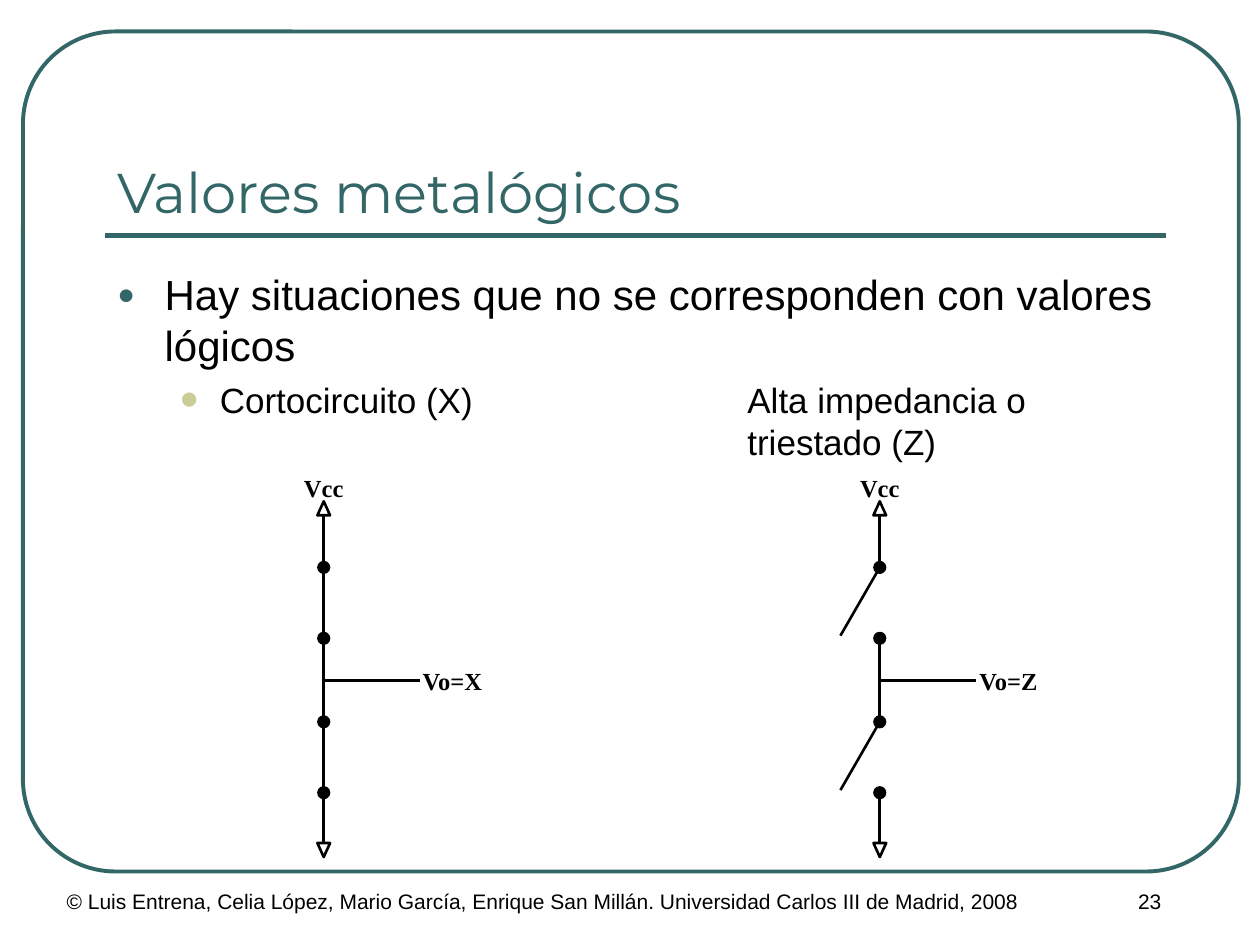
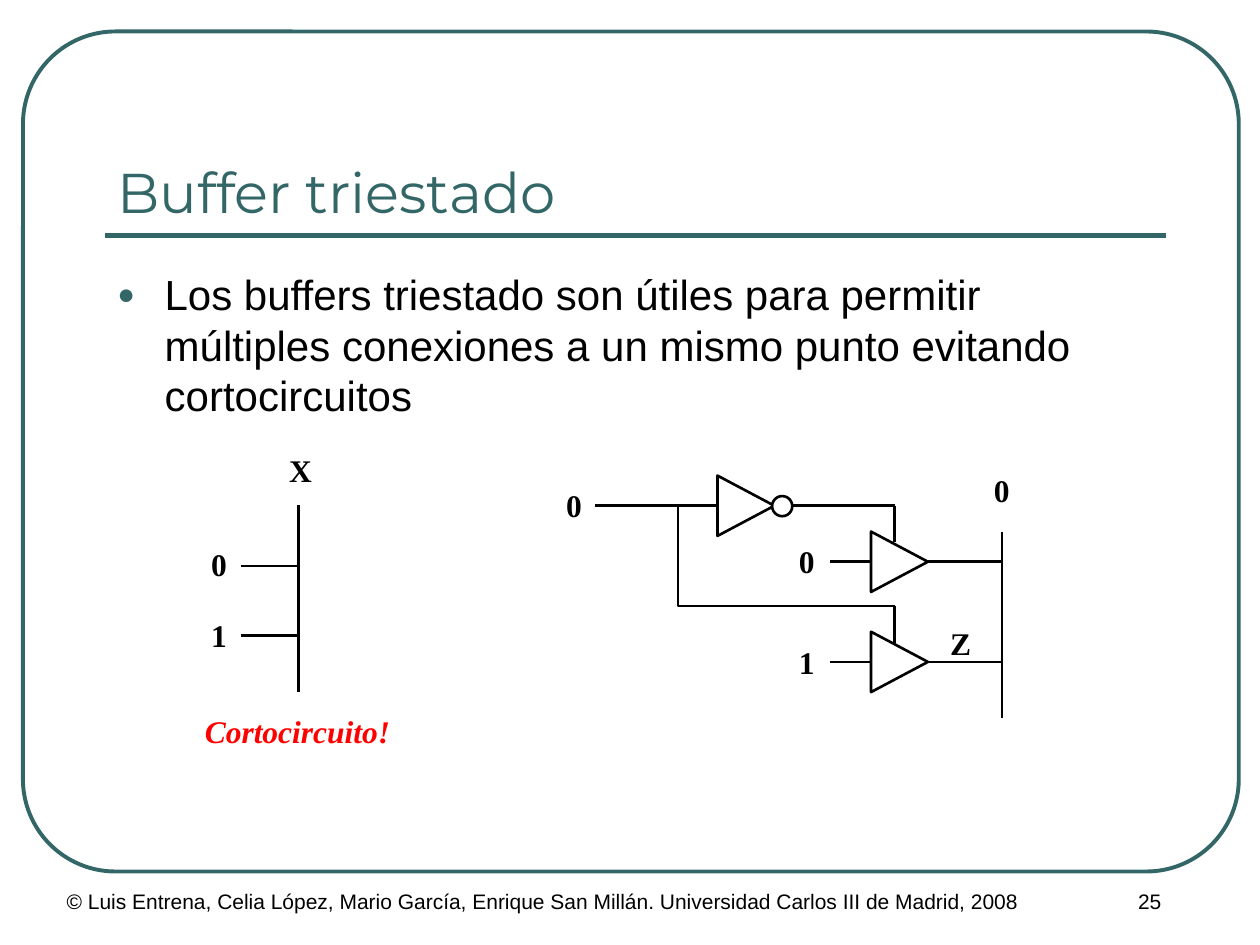
import lxml.etree
import pptx
import pptx.dml.color
import pptx.enum.shapes
import pptx.enum.text
import pptx.oxml.ns
import pptx.util
from dataclasses import dataclass

Pt = pptx.util.Pt
SHAPE = pptx.enum.shapes.MSO_SHAPE
ALIGN = pptx.enum.text.PP_ALIGN
ANCHOR = pptx.enum.text.MSO_ANCHOR
AUTO_SIZE = pptx.enum.text.MSO_AUTO_SIZE
qn = pptx.oxml.ns.qn


@dataclass(frozen=True)
class Theme:
    teal: str = "336666"
    sand: str = "CCCC99"
    ink: str = "000000"
    paper: str = "FFFFFF"
    alert: str = "FF0000"
    title_font: str = "Montserrat"
    body_font: str = "Arial"
    label_font: str = "Times New Roman"
    title_size: float = 32
    body_sizes: tuple = (24, 20)
    label_size: float = 18
    small_label_size: float = 14
    footer_size: float = 12
    wire: float = 1.5
    frame: float = 2.25
    rule: float = 3


T = Theme()

FOOTER = ("© Luis Entrena, Celia López, Mario García, Enrique San Millán. "
          "Universidad Carlos III de Madrid, 2008")

# Body lines: (level, text)
METALOGIC = dict(
    title="Valores metalógicos", number="23",
    body=[(0, "Hay situaciones que no se corresponden con valores lógicos"),
          (1, "Cortocircuito (X)\tAlta impedancia o\n\ttriestado (Z)")])
BUFFER = dict(
    title="Buffer triestado", number="25",
    body=[(0, "Los buffers triestado son útiles para permitir múltiples "
              "conexiones a un mismo punto evitando cortocircuitos")])

# Switch circuits: (axis x, output label, switches closed)
CIRCUITS = [(185, "Vo=X", True), (502.75, "Vo=Z", False)]
TERMINALS = [324.25, 364.75, 412.5, 453]
ARROW_TIPS = (286.5, 489.75)
ARROW_W, ARROW_H = 7.25, 8
OUTPUT_Y = 388.75

# Bus diagrams: labels are (text, centre x, centre y)
SHORT_BUS = dict(x=170.75, top=288.75, inputs=[323.5, 363])
TRISTATE_BUS = dict(x=572.5, top=304)
BUS_LENGTH = 106.5
BUFFERS = [321, 378.25]
BUFFER_X, INVERTER_X, CONTROL_Y = 514, 426.25, 289
LABELS = [("X", 171, 268.5), ("0", 125.25, 322.5), ("1", 125.25, 363),
          ("0", 328, 288.75), ("0", 461, 320.5), ("1", 461, 378.25),
          ("Z", 548.75, 367.25), ("0", 572.5, 280.25)]

# Level: (indent, hanging, space before, bullet, bullet colour, bullet percent)
LEVELS = [(27, 27, 12, "●", T.teal, 70), (58.5, 22.5, 5, "•", T.sand, 150)]
COLUMN_TAB = 360


def rgb(value):
    return pptx.dml.color.RGBColor.from_string(value)


def text(p, content, size, font=T.body_font, color=T.ink, bold=False,
         italic=False, align=ALIGN.LEFT):
    """Write content into a paragraph."""
    p.text = content
    p.alignment = align
    for r in p.runs:
        f = r.font
        f.name, f.size, f.bold, f.italic = font, Pt(size), bold, italic
        f.color.rgb = rgb(color)
    return p


def box(s, x, y, w, h, wrap=True, anchor=ANCHOR.TOP):
    tf = s.shapes.add_textbox(Pt(x), Pt(y), Pt(w), Pt(h)).text_frame
    tf.word_wrap = wrap
    tf.vertical_anchor = anchor
    return tf


def label(s, content, cx, cy, size=T.label_size, **fmt):
    """Write a bold one-line label centred on a point."""
    w, h = 15 + 0.6 * size * len(content), size * 1.6
    tf = box(s, cx - w / 2, cy - h / 2, w, h, wrap=False)
    tf.auto_size = AUTO_SIZE.SHAPE_TO_FIT_TEXT
    text(tf.paragraphs[0], content, size, font=T.label_font, bold=True,
         align=ALIGN.CENTER, **fmt)


def outline(sp, fill, color, width):
    sp.shadow.inherit = False
    if fill:
        sp.fill.solid()
        sp.fill.fore_color.rgb = rgb(fill)
    else:
        sp.fill.background()
    sp.line.color.rgb = rgb(color)
    sp.line.width = Pt(width)


def shape(s, kind, cx, cy, w, h, fill=None, color=T.ink, width=T.wire):
    sp = s.shapes.add_shape(kind, Pt(cx - w / 2), Pt(cy - h / 2), Pt(w), Pt(h))
    outline(sp, fill, color, width)
    return sp


def wire(s, x1, y1, x2, y2, color=T.ink, width=T.wire):
    c = s.shapes.add_connector(pptx.enum.shapes.MSO_CONNECTOR.STRAIGHT,
                               Pt(x1), Pt(y1), Pt(x2), Pt(y2))
    c.line.color.rgb = rgb(color)
    c.line.width = Pt(width)
    lxml.etree.SubElement(c.element.spPr, qn("a:effectLst"))


def bullet(p, level):
    indent, hanging, before, char, color, percent = LEVELS[level]
    p.level = level
    p.space_before = Pt(before)
    pr = p._p.get_or_add_pPr()
    pr.set("marL", str(Pt(indent)))
    pr.set("indent", str(-Pt(hanging)))

    def add(parent, tag, **attrs):
        return lxml.etree.SubElement(parent, qn(tag), attrs)

    add(add(pr, "a:buClr"), "a:srgbClr", val=color)
    add(pr, "a:buSzPct", val=str(percent * 1000))
    add(pr, "a:buFont", typeface=T.body_font)
    add(pr, "a:buChar", char=char)
    add(add(pr, "a:tabLst"), "a:tab", pos=str(Pt(COLUMN_TAB)), algn="l")


def base_slide(prs, title, number, body):
    s = prs.slides.add_slide(prs.slide_layouts[6])
    frame = shape(s, SHAPE.ROUNDED_RECTANGLE, 360.5, 258, 694.75, 480,
                  color=T.teal, width=T.frame)
    frame.adjustments[0] = 0.11
    wire(s, 60, 134.5, 666, 134.5, T.teal, T.rule)
    text(box(s, 31, 504, 563, 36).paragraphs[0], FOOTER, T.footer_size)
    text(box(s, 594, 504, 126, 36).paragraphs[0], number, T.footer_size,
         align=ALIGN.CENTER)
    text(box(s, 60, 42, 606, 90, anchor=ANCHOR.BOTTOM).paragraphs[0], title,
         T.title_size, font=T.title_font, color=T.teal)
    tf = box(s, 60, 150, 606, 348)
    for i, (level, content) in enumerate(body):
        p = tf.paragraphs[0] if i == 0 else tf.add_paragraph()
        bullet(text(p, content, T.body_sizes[level]), level)
    return s


def switch_circuit(s, x, output, closed):
    top, bottom = ARROW_TIPS
    for tip, way in ((top, 1), (bottom, -1)):
        sp = shape(s, SHAPE.ISOSCELES_TRIANGLE, x, tip + way * ARROW_H / 2,
                   ARROW_W, ARROW_H)
        sp.rotation = 0 if way == 1 else 180
    ends = [top + ARROW_H, *TERMINALS, bottom - ARROW_H]
    for i, (y1, y2) in enumerate(zip(ends, ends[1:])):
        is_switch = i % 2 == 1
        if is_switch and not closed:
            wire(s, x, y1, x - 22.5, y1 + 39)
        else:
            wire(s, x, y1, x, y2)
    for y in TERMINALS:
        shape(s, SHAPE.OVAL, x, y, 6, 6, fill=T.ink)
    wire(s, x, OUTPUT_Y, x + 55, OUTPUT_Y)
    label(s, "Vcc", x, 277.75, T.small_label_size)
    label(s, output, x + 73.5, OUTPUT_Y - 0.75, T.small_label_size)


def gate(s, cx, cy):
    """Draw a triangle that points right."""
    sp = shape(s, SHAPE.ISOSCELES_TRIANGLE, cx, cy, 34.5, 32.5, fill=T.paper)
    sp.rotation = 90


def bus(s, x, top):
    wire(s, x, top, x, top + BUS_LENGTH)


def short_circuit(s, x, top, inputs):
    bus(s, x, top)
    for y in inputs:
        wire(s, x - 33, y, x, y)
    label(s, "Cortocircuito!", 170, 417.5, color=T.alert, italic=True)


def tristate_circuit(s, x, top):
    bus(s, x, top)
    enable_x, branch_x, input_x = 511.25, 387.5, 474.5
    enable_ys = [CONTROL_Y, BUFFERS[1] - 32]
    for y, enable_y in zip(BUFFERS, enable_ys):
        wire(s, input_x, y, BUFFER_X - 16, y)
        wire(s, BUFFER_X + 16, y, x, y)
        wire(s, enable_x, enable_y, enable_x, y - 11)
        gate(s, BUFFER_X, y)
    wire(s, 340, CONTROL_Y, INVERTER_X - 16, CONTROL_Y)
    wire(s, INVERTER_X + 26, CONTROL_Y, enable_x, CONTROL_Y)
    gate(s, INVERTER_X, CONTROL_Y)
    shape(s, SHAPE.OVAL, INVERTER_X + 20.75, CONTROL_Y + 0.25, 11.5, 11.5,
          fill=T.paper)
    fb = s.shapes.build_freeform(Pt(branch_x), Pt(CONTROL_Y))
    fb.add_line_segments([(Pt(branch_x), Pt(enable_ys[1])),
                          (Pt(enable_x), Pt(enable_ys[1]))], close=False)
    outline(fb.convert_to_shape(), None, T.ink, T.wire)


def main():
    prs = pptx.Presentation()
    prs.slide_width, prs.slide_height = Pt(720), Pt(540)

    s = base_slide(prs, **METALOGIC)
    for circuit in CIRCUITS:
        switch_circuit(s, *circuit)

    s = base_slide(prs, **BUFFER)
    short_circuit(s, **SHORT_BUS)
    tristate_circuit(s, **TRISTATE_BUS)
    for content, cx, cy in LABELS:
        label(s, content, cx, cy)

    prs.save("out.pptx")


if __name__ == "__main__":
    main()
